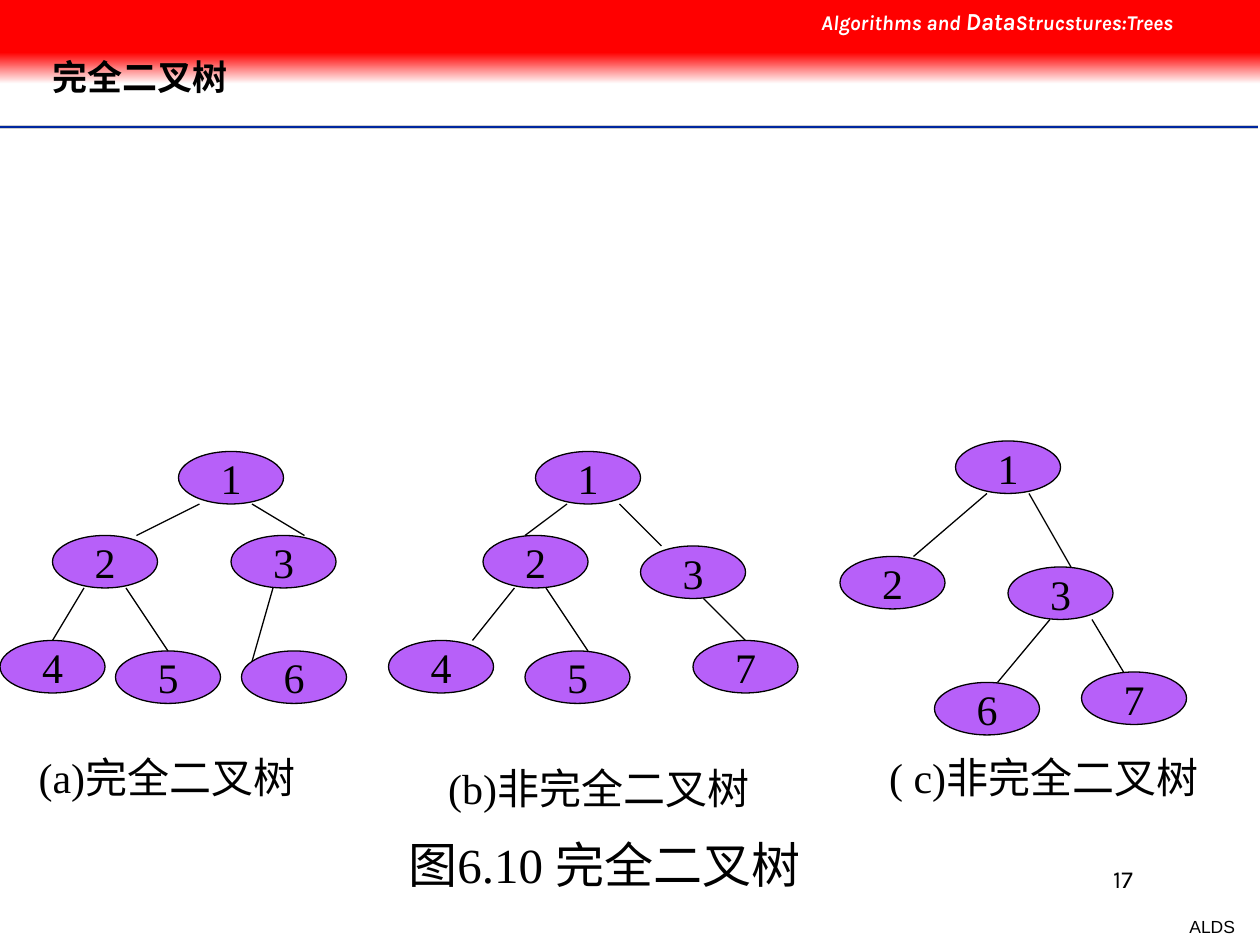
from dataclasses import dataclass

from pptx import Presentation
from pptx.dml.color import RGBColor
from pptx.enum import shapes, text
from pptx.oxml import ns, xmlchemy
from pptx.util import Pt

BLACK = RGBColor(0x00, 0x00, 0x00)
WHITE = RGBColor(0xFF, 0xFF, 0xFF)
RED = RGBColor(0xFF, 0x00, 0x00)
PURPLE = RGBColor(0xB7, 0x60, 0xF9)
RULE_GRAY = RGBColor(0xCE, 0xCE, 0xCE)
RULE_BLUE = RGBColor(0x00, 0x27, 0x9F)

SERIF = "Times New Roman"
HEADER_FONT = "Karla"
CHINESE_FONT = "Noto Sans CJK SC"
NODE_W, NODE_H = 60, 30


@dataclass(frozen=True)
class Node:
    label: str
    left: float
    top: float


@dataclass(frozen=True)
class Line:
    x1: float
    y1: float
    x2: float
    y2: float
    color: RGBColor = BLACK
    width: float = 0.75


@dataclass(frozen=True)
class Label:
    words: str
    left: float
    top: float
    width: float
    height: float
    size: float
    font: str = SERIF
    align: text.PP_ALIGN = text.PP_ALIGN.LEFT
    wrap: bool = False


@dataclass(frozen=True)
class Tree:
    nodes: tuple[Node, ...]
    edges: tuple[Line, ...]
    caption: Label


RULES = (
    Line(0, 72.7, 718.6, 72.7, RULE_GRAY, 2),
    Line(0, 72.7, 718.6, 72.7, RULE_BLUE, 1),
    Line(0, 74.2, 718.6, 74.2, WHITE, 1),
)

TREES = (
    Tree(
        (Node("1", 102, 258), Node("2", 30, 306), Node("3", 132, 306),
         Node("4", 0, 366), Node("5", 66, 372), Node("6", 138, 372)),
        (Line(114, 288, 78, 306), Line(144, 288, 174, 306),
         Line(48, 336, 30, 366), Line(72, 336, 96, 372),
         Line(156, 336, 144, 378)),
        Label("(a)完全二叉树", 15, 426, 168, 36, 24),
    ),
    Tree(
        (Node("1", 306, 258), Node("2", 276, 306), Node("3", 366, 312),
         Node("4", 222, 366), Node("5", 300, 372), Node("7", 396, 366)),
        (Line(324, 288, 300, 306), Line(354, 288, 378, 312),
         Line(294, 336, 270, 366), Line(312, 336, 336, 372),
         Line(402, 342, 426, 366)),
        Label("(b)非完全二叉树", 249, 432, 193, 36, 24),
    ),
    Tree(
        (Node("1", 546, 252), Node("2", 480, 318), Node("3", 576, 324),
         Node("6", 534, 390), Node("7", 618, 384)),
        (Line(564, 282, 522, 318), Line(588, 282, 612, 324),
         Line(600, 354, 570, 390), Line(624, 354, 642, 384)),
        Label("( c)非完全二叉树", 501, 426, 197, 36, 24),
    ),
)

FIGURE_CAPTION = Label("图6.10 完全二叉树", 226.4, 473.4, 252, 41, 28)
FOOTER = Label("ALDS", 672.5, 519.8, 40.3, 19.4, 10, "Arial", text.PP_ALIGN.RIGHT)
PAGE_NUMBER = Label("17", 516.2, 490.3, 138.2, 36, 14, HEADER_FONT,
                    text.PP_ALIGN.RIGHT, True)
HEADER_RUNS = (("Algorithms and ", 12), ("Data", 14), ("Strucstures:Trees", 12))


def style_run(r, font: str, size: float, color: RGBColor = BLACK) -> None:
    r.font.name = font
    r.font.size = Pt(size)
    r.font.color.rgb = color
    ea = xmlchemy.OxmlElement("a:ea")
    ea.set("typeface", CHINESE_FONT)
    r.font._element.find(ns.qn("a:latin")).addnext(ea)


def draw_line(s, line: Line) -> None:
    connector = s.shapes.add_connector(
        shapes.MSO_CONNECTOR.STRAIGHT,
        Pt(line.x1), Pt(line.y1), Pt(line.x2), Pt(line.y2))
    connector.line.color.rgb = line.color
    connector.line.width = Pt(line.width)
    connector._element.spPr.append(xmlchemy.OxmlElement("a:effectLst"))


def draw_node(s, node: Node) -> None:
    sp = s.shapes.add_shape(shapes.MSO_SHAPE.OVAL, Pt(node.left), Pt(node.top),
                            Pt(NODE_W), Pt(NODE_H))
    sp.shadow.inherit = False
    sp.fill.solid()
    sp.fill.fore_color.rgb = PURPLE
    sp.line.color.rgb = BLACK
    sp.line.width = Pt(0.75)
    tf = sp.text_frame
    tf.word_wrap = False
    tf.vertical_anchor = text.MSO_ANCHOR.MIDDLE
    tf.text = node.label
    p = tf.paragraphs[0]
    p.alignment = text.PP_ALIGN.CENTER
    style_run(p.runs[0], SERIF, 24)


def draw_label(s, label: Label) -> None:
    sp = s.shapes.add_textbox(Pt(label.left), Pt(label.top),
                              Pt(label.width), Pt(label.height))
    tf = sp.text_frame
    tf.word_wrap = label.wrap
    if not label.wrap:
        tf.auto_size = text.MSO_AUTO_SIZE.SHAPE_TO_FIT_TEXT
    tf.text = label.words
    p = tf.paragraphs[0]
    p.alignment = label.align
    style_run(p.runs[0], label.font, label.size)


def draw_band(s, top: float, height: float):
    sp = s.shapes.add_shape(shapes.MSO_SHAPE.RECTANGLE, 0, Pt(top),
                            Pt(720), Pt(height))
    sp.shadow.inherit = False
    sp.line.fill.background()
    return sp


def draw_header(s) -> None:
    fade = draw_band(s, 30, 18).fill
    fade.gradient()
    fade.gradient_angle = 270
    for stop, color, position in zip(fade.gradient_stops, (RED, WHITE), (0, 1)):
        stop.color.rgb = color
        stop.position = position
    solid = draw_band(s, 0, 30).fill
    solid.solid()
    solid.fore_color.rgb = RED

    tf = s.shapes.add_textbox(Pt(462.2), 0, Pt(257.8), Pt(24.5)).text_frame
    tf.word_wrap = True
    p = tf.paragraphs[0]
    for words, size in HEADER_RUNS:
        r = p.add_run()
        r.text = words
        style_run(r, HEADER_FONT, size, WHITE)
        r.font.bold = r.font.italic = True


def draw_title(s) -> None:
    title = s.shapes.title
    title.left, title.top, title.width, title.height = Pt(30), 0, Pt(612), Pt(90)
    s.shapes._spTree.append(title._element)
    tf = title.text_frame
    tf.auto_size = text.MSO_AUTO_SIZE.NONE
    tf.margin_left = tf.margin_top = tf.margin_right = tf.margin_bottom = 0
    tf.vertical_anchor = text.MSO_ANCHOR.MIDDLE
    tf.text = "完全二叉树"
    p = tf.paragraphs[0]
    p.alignment = text.PP_ALIGN.LEFT
    p.line_spacing = 0.9
    style_run(p.runs[0], CHINESE_FONT, 20)
    p.runs[0].font.bold = True


def main() -> None:
    prs = Presentation()
    prs.slide_width, prs.slide_height = Pt(720), Pt(540)
    s = prs.slides.add_slide(prs.slide_layouts[5])
    for rule in RULES:
        draw_line(s, rule)
    draw_label(s, FOOTER)
    draw_label(s, PAGE_NUMBER)
    draw_header(s)
    for tree in TREES:
        for node in tree.nodes:
            draw_node(s, node)
        for edge in tree.edges:
            draw_line(s, edge)
        draw_label(s, tree.caption)
    draw_label(s, FIGURE_CAPTION)
    draw_title(s)
    prs.save("out.pptx")


if __name__ == "__main__":
    main()
